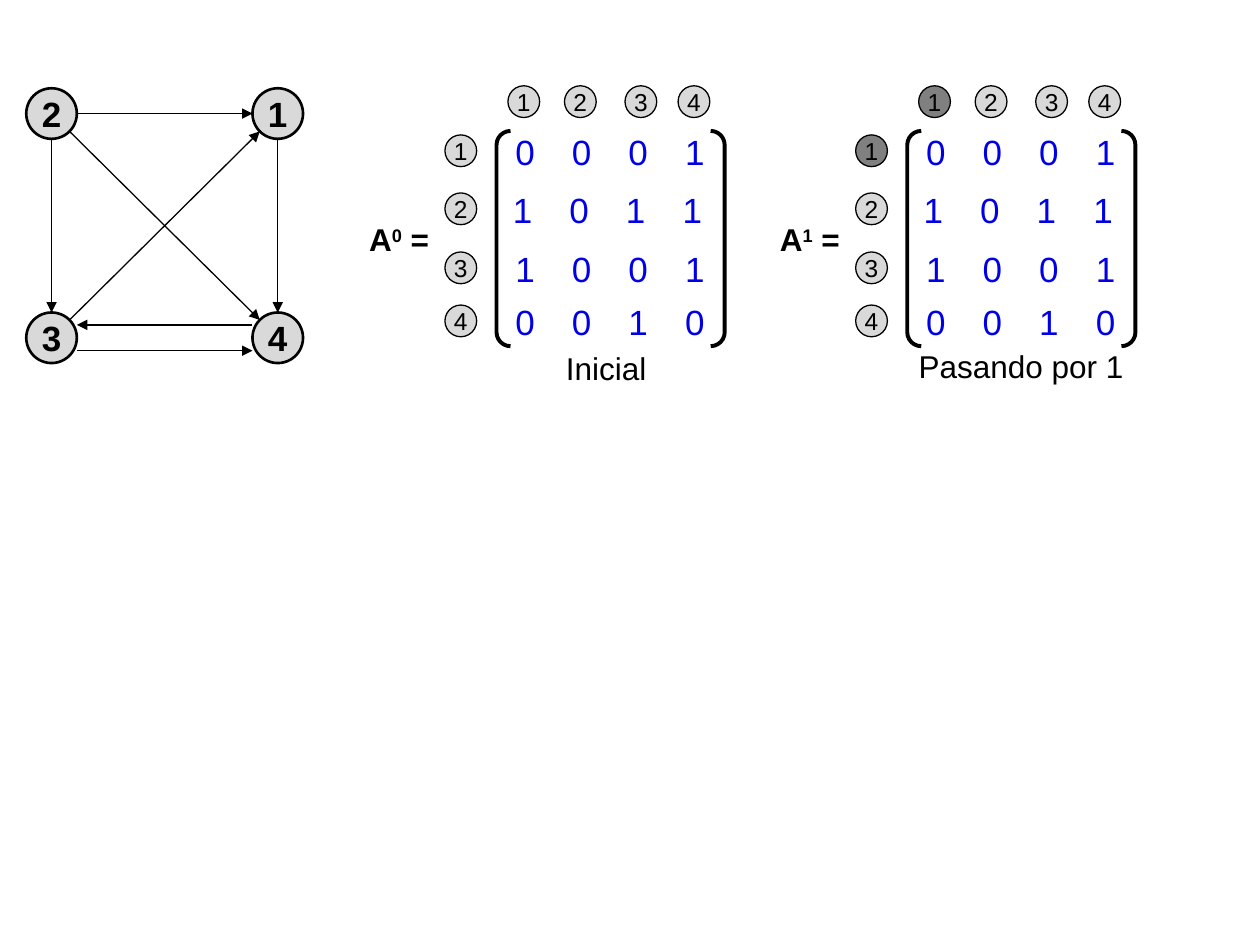
"""Build a slide showing a directed graph and two steps of its path matrix."""
from dataclasses import dataclass
from math import hypot

from lxml.etree import SubElement
from pptx import Presentation
from pptx.dml.color import RGBColor as Color
from pptx.enum.shapes import MSO_CONNECTOR as Link, MSO_SHAPE as Preset
from pptx.enum.text import MSO_ANCHOR as Anchor, MSO_AUTO_SIZE as Fit, PP_ALIGN as Align
from pptx.oxml.ns import qn
from pptx.util import Cm, Pt


@dataclass(frozen=True)
class Theme:
    """Colours, type sizes and line widths of the slide."""
    font: str = "Arial"
    ink: Color = Color(0, 0, 0)
    value: Color = Color(0, 0, 0xE6)
    node: Color = Color(0xD9, 0xD9, 0xD9)
    active: Color = Color(0x80, 0x80, 0x80)
    large: int = 20
    medium: int = 18
    small: int = 14
    thin: float = 0.75
    strong: float = 1.5
    heavy: float = 2.25


THEME = Theme()

NODE_SIZE = 1.02
NODES = {"4": (5.6, 6.81), "1": (5.6, 2.29), "2": (1.04, 2.29), "3": (1.04, 6.81)}
EDGES = [("1", "4", 0), ("2", "1", 0), ("4", "3", -0.26), ("3", "4", 0.26),
         ("2", "3", 0), ("3", "1", 0), ("2", "4", 0)]

BADGE_SIZE = 0.64
HEADER_TOP = 1.73
HEADER_LEFTS = (0.23, 1.37, 2.59, 3.66)
ROW_TOPS = (2.72, 3.89, 5.08, 6.15)
ROW_INDENTS = (0.38, 0.33, 0.38, 0.38)
COLUMN_STEP = 1.14


def add_span(para, text, size, color=THEME.ink, bold=False, raised=False):
    """Append one formatted run to a paragraph."""
    span = para.add_run()
    span.text = text
    span.font.name = THEME.font
    span.font.size = Pt(size)
    span.font.bold = bold
    span.font.color.rgb = color
    if raised:
        span._r.get_or_add_rPr().set("baseline", "30000")


def remove_margins(frame):
    """Centre a text frame vertically without insets or wrapping."""
    frame.margin_left = frame.margin_right = frame.margin_top = frame.margin_bottom = 0
    frame.vertical_anchor = Anchor.MIDDLE
    frame.word_wrap = False


def add_preset(shapes, preset, left, top, width, height, weight):
    """Add a preset shape with a black outline and no shadow."""
    shape = shapes.add_shape(preset, Cm(left), Cm(top), Cm(width), Cm(height))
    shape.shadow.inherit = False
    shape.line.color.rgb = THEME.ink
    shape.line.width = Pt(weight)
    return shape


def add_circle(shapes, text, left, top, diameter, size, weight, fill=THEME.node, bold=False):
    """Add a numbered circle."""
    circle = add_preset(shapes, Preset.OVAL, left, top, diameter, diameter, weight)
    circle.fill.solid()
    circle.fill.fore_color.rgb = fill
    remove_margins(circle.text_frame)
    para = circle.text_frame.paragraphs[0]
    para.alignment = Align.CENTER
    add_span(para, text, size, bold=bold)


def add_box(shapes, left, top, width, height, wrap=False):
    """Add a text box that grows with its text and return its frame."""
    frame = shapes.add_textbox(Cm(left), Cm(top), Cm(width), Cm(height)).text_frame
    frame.word_wrap = wrap
    frame.auto_size = Fit.SHAPE_TO_FIT_TEXT
    return frame


def add_edge(shapes, source, target, shift):
    """Draw an arrow between the rims of two nodes."""
    (x1, y1), (x2, y2) = NODES[source], NODES[target]
    trim = NODE_SIZE / 2 / hypot(x2 - x1, y2 - y1)
    dx, dy = (x2 - x1) * trim, (y2 - y1) * trim
    edge = shapes.add_connector(Link.STRAIGHT, Cm(x1 + dx), Cm(y1 + dy + shift),
                                Cm(x2 - dx), Cm(y2 - dy + shift))
    edge.line.color.rgb = THEME.ink
    edge.line.width = Pt(THEME.thin)
    SubElement(edge.line._get_or_add_ln(), qn("a:tailEnd"), type="triangle")
    SubElement(edge._element.spPr, qn("a:effectLst"))


def add_graph(page):
    """Draw the directed graph as one group."""
    shapes = page.shapes.add_group_shape().shapes
    for name, (x, y) in NODES.items():
        add_circle(shapes, name, x - NODE_SIZE / 2, y - NODE_SIZE / 2, NODE_SIZE,
                   THEME.large, THEME.strong, bold=True)
    for source, target, shift in EDGES:
        add_edge(shapes, source, target, shift)


def add_matrix(page, left, power, rows, active=None):
    """Draw a bracketed matrix with its numbered rows, columns and name."""
    shapes = page.shapes.add_group_shape().shapes
    for values, top, indent in zip(rows, ROW_TOPS, ROW_INDENTS):
        for column, value in enumerate(values):
            frame = add_box(shapes, left + indent + column * COLUMN_STEP, top - 0.09, 0.41, 0.86)
            remove_margins(frame)
            add_span(frame.paragraphs[0], value, THEME.large, THEME.value)

    bracket = add_preset(shapes, Preset.DOUBLE_BRACKET, left, 2.64, 4.6, 4.34, THEME.heavy)
    bracket.fill.background()
    bracket.adjustments[0] = 0.065

    name = add_box(shapes, left - 2.82, 4.32, 1.75, 1.02).paragraphs[0]
    add_span(name, "A", THEME.medium, bold=True)
    add_span(name, power, THEME.medium, bold=True, raised=True)
    add_span(name, " =", THEME.medium, bold=True)

    headers = [(left + offset, HEADER_TOP) for offset in HEADER_LEFTS]
    sides = [(left - 1.04, top) for top in ROW_TOPS]
    for places in (headers, sides):
        for number, (x, y) in enumerate(places, start=1):
            fill = THEME.active if number == active else THEME.node
            add_circle(shapes, str(number), x, y, BADGE_SIZE, THEME.small, THEME.thin, fill)


def add_caption(page, text, left, top, width):
    """Add a centred caption below a matrix."""
    para = add_box(page.shapes, left, top, width, 1.02, wrap=True).paragraphs[0]
    para.alignment = Align.CENTER
    add_span(para, text, THEME.medium)


def main():
    """Compose the slide and save the deck."""
    deck = Presentation()
    deck.slide_width, deck.slide_height = Cm(25.4), Cm(19.05)
    page = deck.slides.add_slide(deck.slide_layouts[6])
    add_graph(page)
    add_matrix(page, 10.01, "0", ("0001", "1011", "1001", "0010"))
    add_matrix(page, 18.29, "1", ("0001", "1011", "1001", "0010"), active=1)
    add_caption(page, "Inicial", 11, 6.91, 2.44)
    add_caption(page, "Pasando por 1", 18.03, 6.88, 5.11)
    deck.save("out.pptx")


if __name__ == "__main__":
    main()
